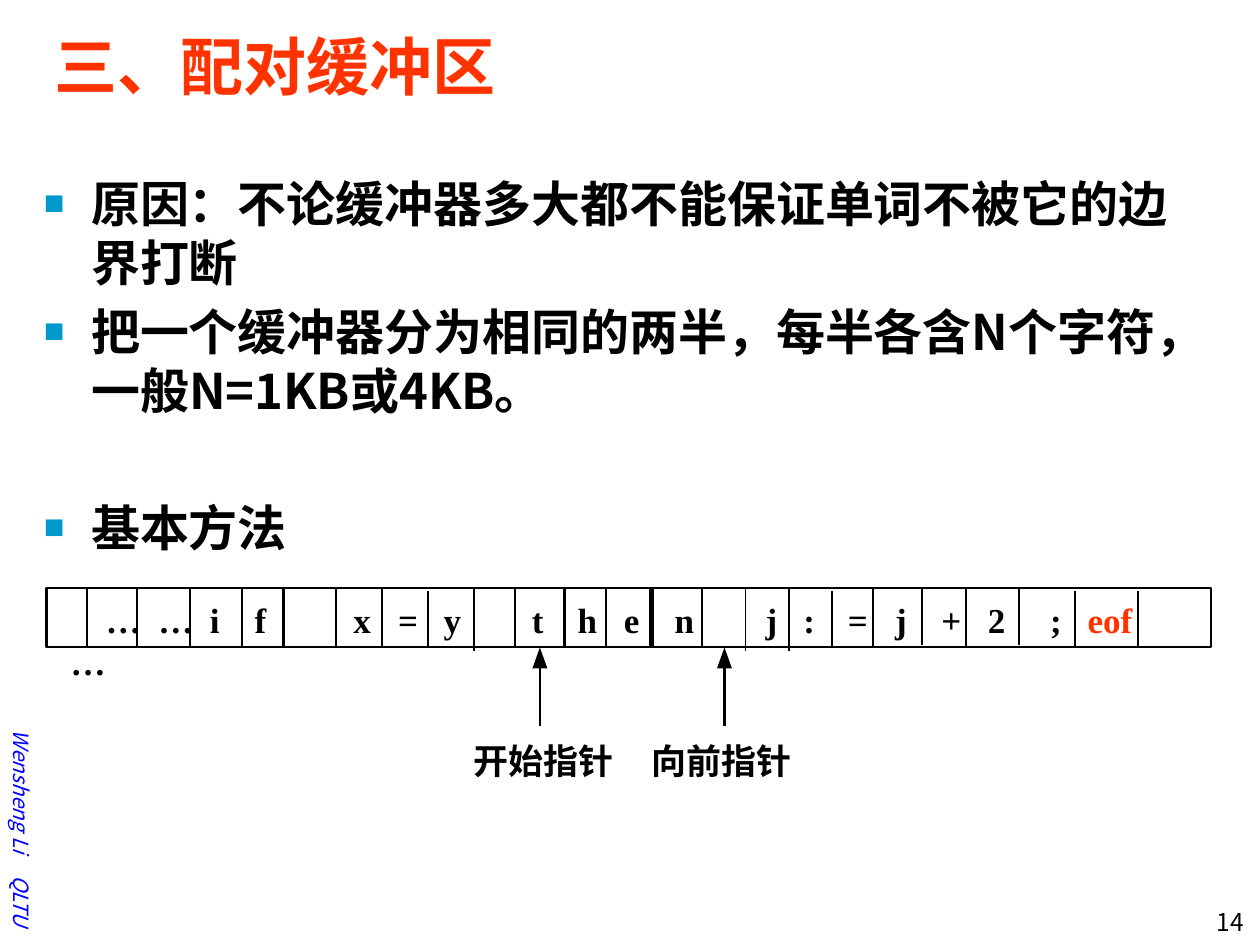
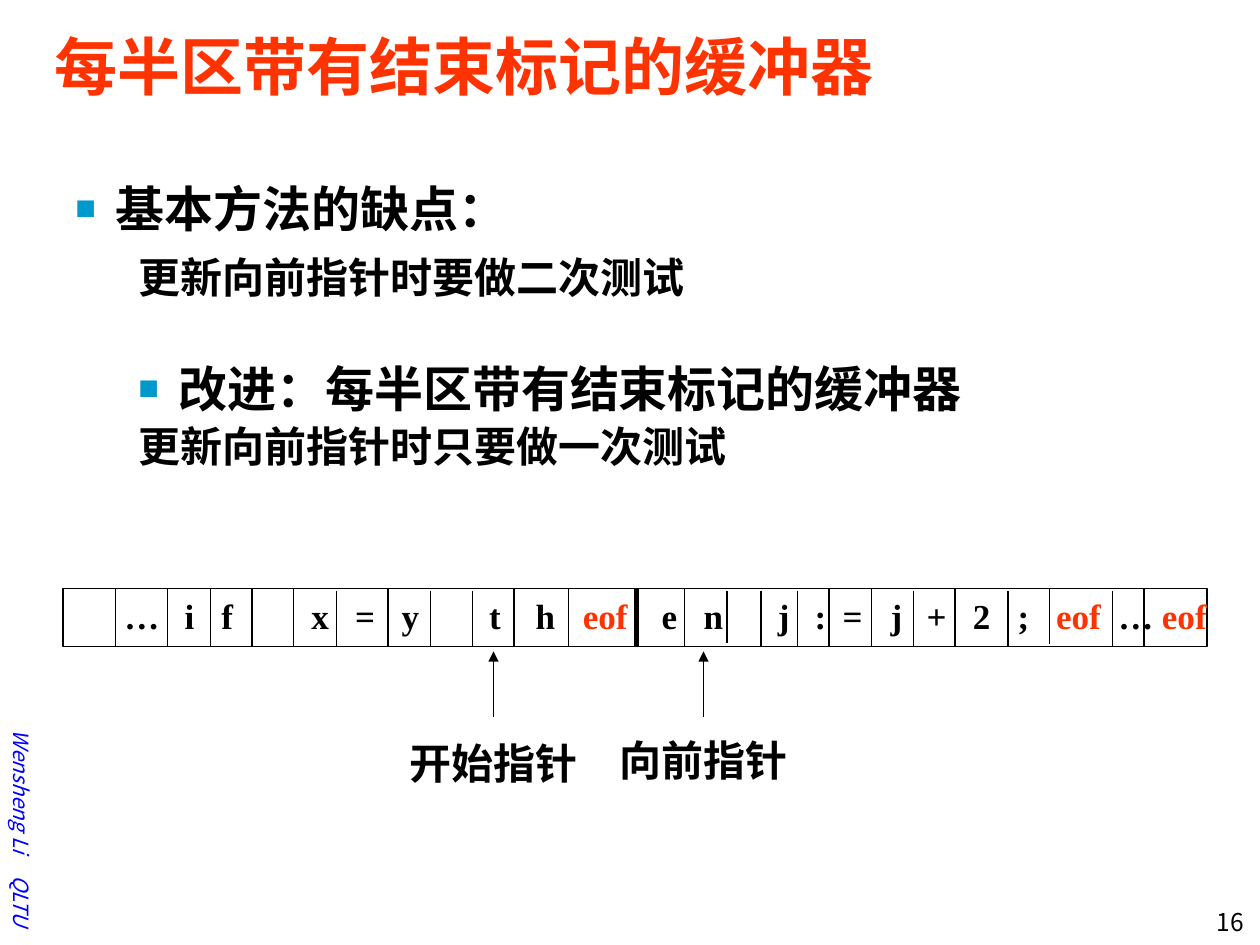
from dataclasses import dataclass

from lxml import etree
from pptx import Presentation
from pptx.dml.color import RGBColor
from pptx.enum.shapes import MSO_CONNECTOR, MSO_SHAPE
from pptx.enum.text import MSO_ANCHOR, PP_ALIGN
from pptx.oxml.ns import qn
from pptx.util import Pt

LEFT, RIGHT = PP_ALIGN.LEFT, PP_ALIGN.RIGHT
TOP, MIDDLE = MSO_ANCHOR.TOP, MSO_ANCHOR.MIDDLE
STRAIGHT = MSO_CONNECTOR.STRAIGHT
RECTANGLE = MSO_SHAPE.RECTANGLE


@dataclass(frozen=True)
class Theme:
    sans: str = "Noto Sans CJK SC"
    serif: str = "Times New Roman"
    ink: str = "000000"
    accent: str = "FF3300"
    bullet: str = "0099CC"
    author: str = "0000FF"
    title: int = 36
    body: int = 28
    detail: int = 24
    buffer: int = 20
    number: int = 14
    footer: int = 12


THEME = Theme()
INSETS = (7.2, 3.6, 7.2, 3.6)
FLUSH = (0, 0, 0, 0)


def add_frame(slide, box, insets=INSETS, anchor=TOP, rotation=0):
    holder = slide.shapes.add_textbox(*map(Pt, box))
    holder.rotation = rotation
    frame = holder.text_frame
    frame.word_wrap = True
    frame.vertical_anchor = anchor
    (frame.margin_left, frame.margin_top,
     frame.margin_right, frame.margin_bottom) = map(Pt, insets)
    return frame


def write(frame, text, size=THEME.body, color=THEME.ink, font=THEME.sans,
          bold=False, italic=False, align=LEFT, before=0, line=None,
          margin=0, hang=0):
    """Add a paragraph to the frame; a hang gives it a bullet."""
    first = frame.paragraphs[0]
    paragraph = frame.add_paragraph() if first.runs else first
    paragraph.alignment = align
    paragraph.space_before = Pt(before)
    if line:
        paragraph.line_spacing = line
    props = paragraph._p.get_or_add_pPr()
    props.set("marL", str(Pt(margin + hang)))
    props.set("indent", str(Pt(-hang)))
    if hang:
        bullet_color = etree.SubElement(props, qn("a:buClr"))
        etree.SubElement(bullet_color, qn("a:srgbClr"), val=THEME.bullet)
        etree.SubElement(props, qn("a:buSzPct"), val="70000")
        etree.SubElement(props, qn("a:buFont"), typeface=THEME.serif)
        etree.SubElement(props, qn("a:buChar"), char="■")

    run = paragraph.add_run()
    run.text = text
    run.font.size = Pt(size)
    run.font.bold = bold
    run.font.italic = italic
    run.font.name = font
    run.font.color.rgb = RGBColor.from_string(color)
    etree.SubElement(run._r.get_or_add_rPr(), qn("a:ea"), typeface=font)


BULLET = dict(size=THEME.body, bold=True)
DETAIL = dict(size=THEME.detail, bold=True, margin=36)

# (text, start down the left edge, length)
author_parts = [("Wensheng Li", 417, 80), ("QLTU", 500, 38)]
author_center, author_height = 12.3, 21.6

pages = [
    dict(
        number="14",
        title="三、配对缓冲区",
        body_box=(18, 95.8, 684, 234),
        body=[
            ("原因：不论缓冲器多大都不能保证单词不被它的边界打断",
             dict(BULLET, hang=27, before=5.6)),
            ("把一个缓冲器分为相同的两半，每半各含N个字符，一般N=1KB或4KB。",
             dict(BULLET, hang=27, before=5.6)),
            ("基本方法", dict(BULLET, hang=27, before=45)),
        ],
        buffer=(26.6, 336.2, 665.3, 33.8),
        weight=1.25,
        # (top, bottom, weight): positions of the cell borders
        borders={
            (336.2, 370, 1.25): [49.7, 78.5, 108.7, 138.2, 162, 192.2, 218.2,
                                 294.5, 322.6, 346.3, 401, 499, 552.2],
            (337.7, 370, 1.25): [244.8, 475.2, 614.5, 650.2],
            (336.2, 372.2, 1.25): [270.7, 450.7],
            (336.2, 372.2, 0.75): [426.2],
            (336.2, 368.6, 1.25): [527, 582.5],
            (336.2, 369.4, 3): [372.2],
        },
        # top of each line of symbols: symbols and their left edges
        symbols={
            342: ("… … i f x = y t h e n j : = j + 2 ; eof",
                  [60.5, 90.5, 120, 145.5, 202, 227.5, 253.5, 304, 330,
                   356.5, 385.5, 437.5, 459, 484.5, 511.5, 538, 564.5,
                   600, 621.5]),
            366: ("…", [40.3]),
        },
        pointers=[("开始指针", 308.5, (270.7, 422.6)),
                  ("向前指针", 414, (372.2, 422.6))],
        label_size=20,
        pointer_start=414.7,
        pointer_end=381.6,
        head=(8.6, 12),
    ),
    dict(
        number="16",
        title="每半区带有结束标记的缓冲器",
        body_box=(36, 102.2, 617.8, 173.5),
        body=[
            ("基本方法的缺点：", dict(BULLET, hang=23, before=5.6, line=0.9)),
            ("更新向前指针时要做二次测试", dict(DETAIL, before=4.8, line=1.1)),
            ("改进：每半区带有结束标记的缓冲器",
             dict(BULLET, margin=36, hang=23, before=5.6, line=1.8)),
            ("更新向前指针时只要做一次测试", dict(DETAIL, before=12, line=0.6)),
        ],
        buffer=(36, 336.2, 653.8, 33.1),
        weight=0.75,
        borders={
            (336.2, 369.4, 0.75): [66.2, 95.8, 120.2, 144, 167.8, 221.8, 293.8,
                                   324.7, 391, 473.8, 498.2, 545.8, 653.8],
            (337.7, 370, 0.75): [192.2, 246.2, 270, 434.9, 455.8, 522, 576,
                                 635.8],
            (337.7, 367.2, 0.75): [415.4],
            (336.2, 368, 0.75): [599.8],
            (336.2, 369.4, 3): [363.6],
        },
        symbols={
            339.8: ("… i f x = y t h eof e n j : = j + 2 ; eof … eof",
                    [71, 105.5, 126.5, 178, 203, 229.5, 279.5, 306, 333, 378,
                     402, 444.5, 465.5, 481.5, 509, 529.5, 556, 581.5, 603.5,
                     639, 664]),
        },
        pointers=[("开始指针", 282, (234, 421.2)),
                  ("向前指针", 402, (354.2, 419.8))],
        label_size=24,
        pointer_start=409.7,
        pointer_end=372.2,
        head=None,
    ),
]

deck = Presentation()
deck.slide_width, deck.slide_height = Pt(720), Pt(540)
blank = deck.slide_layouts[6]
ink = RGBColor.from_string(THEME.ink)

for page in pages:
    slide = deck.slides.add_slide(blank)

    # Footer, page number, title and body
    for text, start, length in author_parts:
        box = (author_center - length / 2, start + (length - author_height) / 2,
               length, author_height)
        author = add_frame(slide, box, FLUSH, anchor=MIDDLE, rotation=90)
        write(author, text, size=THEME.footer, color=THEME.author, italic=True)
    number = add_frame(slide, (661, 514.8, 56.9, 21.6))
    write(number, page["number"], size=THEME.number, align=RIGHT, before=7)
    title = add_frame(slide, (23.8, 12.2, 678.2, 66.2))
    write(title, page["title"], size=THEME.title, color=THEME.accent, bold=True)
    body = add_frame(slide, page["body_box"])
    for text, style in page["body"]:
        write(body, text, **style)

    # Buffer and its symbols
    buffer = slide.shapes.add_shape(RECTANGLE, *map(Pt, page["buffer"]))
    buffer.shadow.inherit = False
    buffer.fill.background()
    buffer.line.color.rgb = ink
    buffer.line.width = Pt(page["weight"])

    for top, (symbols, lefts) in page["symbols"].items():
        for symbol, left in zip(symbols.split(), lefts):
            cell = add_frame(slide, (left, top, 12 * len(symbol) + 12, 24), FLUSH)
            write(cell, symbol, size=THEME.buffer, font=THEME.serif, bold=True,
                  color=THEME.accent if symbol == "eof" else THEME.ink)

    # Cell borders and pointers: (x, start, end, weight, has arrowhead)
    strokes = [(x, top, bottom, weight, False)
               for (top, bottom, weight), xs in page["borders"].items()
               for x in xs]
    strokes += [(x, page["pointer_start"], page["pointer_end"], page["weight"],
                 page["head"] is None) for _, x, _ in page["pointers"]]
    for x, start, end, weight, arrow in strokes:
        stroke = slide.shapes.add_connector(STRAIGHT, Pt(x), Pt(start), Pt(x), Pt(end))
        stroke.line.color.rgb = ink
        stroke.line.width = Pt(weight)
        if arrow:
            etree.SubElement(stroke.line._get_or_add_ln(), qn("a:tailEnd"),
                             type="triangle")
        etree.SubElement(stroke._element.spPr, qn("a:effectLst"))

    for label, x, (left, top) in page["pointers"]:
        size = page["label_size"]
        caption = add_frame(slide, (left, top, 4.3 * size, 1.2 * size), FLUSH)
        write(caption, label, size=size, bold=True)
        if page["head"]:
            width, height = page["head"]
            tip = page["buffer"][1] + page["buffer"][3]
            outline = slide.shapes.build_freeform(Pt(x), Pt(tip))
            outline.add_line_segments([(Pt(x - width / 2), Pt(tip + height)),
                                       (Pt(x + width / 2), Pt(tip + height))])
            head = outline.convert_to_shape()
            head.shadow.inherit = False
            head.fill.solid()
            head.fill.fore_color.rgb = ink
            head.line.fill.background()

deck.save("out.pptx")
